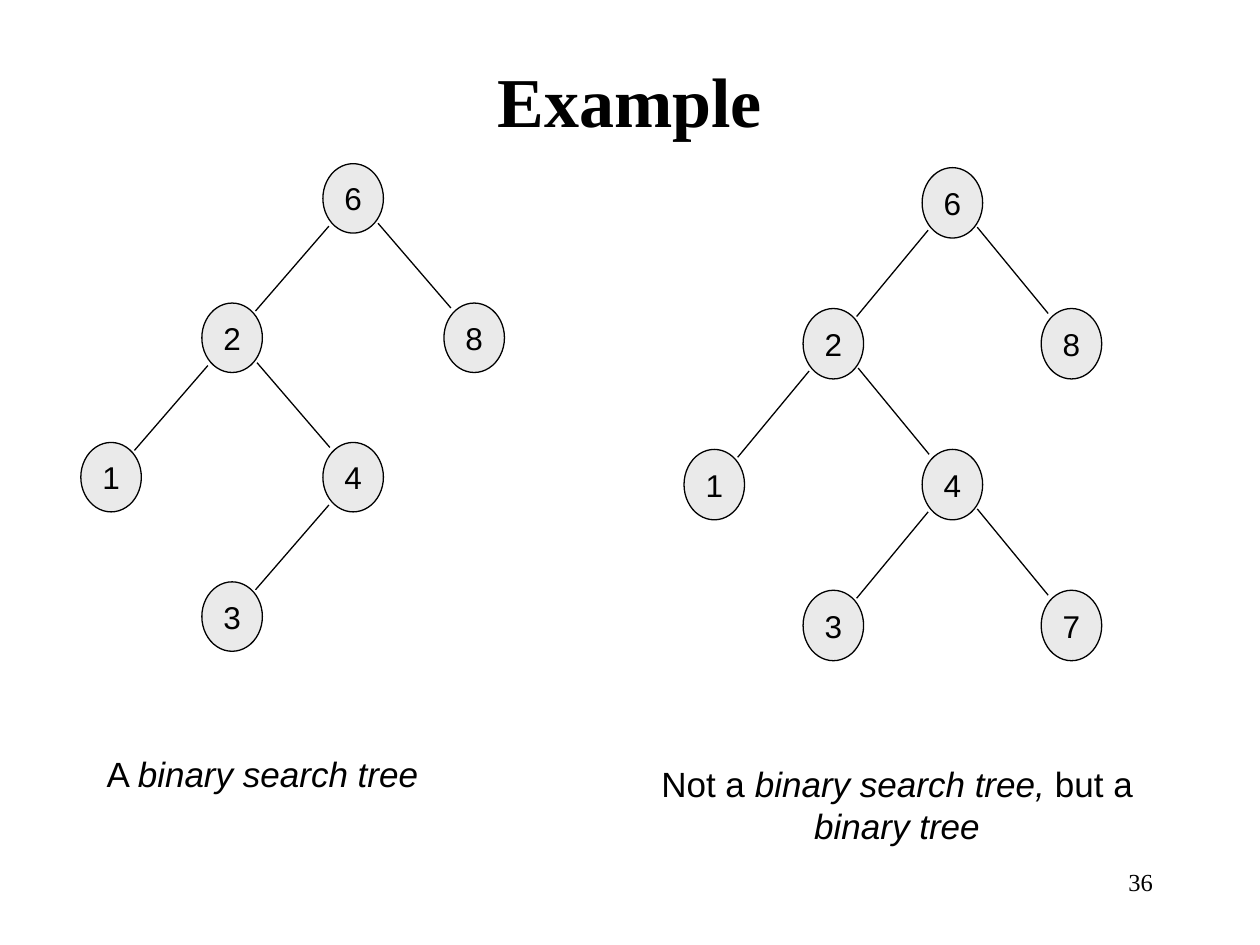
from lxml import etree
from pptx import Presentation
from pptx import util as u
from pptx.dml import color
from pptx.enum import shapes, text
from pptx.oxml import ns

BLACK, GREY = "000000", "EAEAEA"
SANS, SERIF = "Arial", "Times New Roman"
CENTER, LEFT, RIGHT = text.PP_ALIGN.CENTER, text.PP_ALIGN.LEFT, text.PP_ALIGN.RIGHT

SEARCH_TREE = {"6": (2, 0), "2": (1, 1), "8": (3, 1), "1": (0, 2), "4": (2, 2), "3": (1, 3)}
SEARCH_EDGES = ["62", "68", "21", "24", "43"]
TREES = [
    {"origin": (1.63, 3.3), "step": (2.44, 2.81), "size": (1.22, 1.4),
     "nodes": SEARCH_TREE, "edges": SEARCH_EDGES},
    {"origin": (13.79, 3.38), "step": (2.4, 2.84), "size": (1.22, 1.42),
     "nodes": {**SEARCH_TREE, "7": (3, 3)}, "edges": SEARCH_EDGES + ["47"]},
]
LEFT_EDGE = ((0.12, 1.26), (1.08, 0.16))
RIGHT_EDGE = ((1.11, 1.2), (0.14, 0.1))

LABELS = [
    {"at": (18.21, 17.35, 5.28, 1.27), "spans": [("36", False)],
     "font": (SERIF, 14, False), "align": RIGHT, "wrap": True, "anchor": text.MSO_ANCHOR.TOP},
    {"at": (1.9, 1.27, 21.59, 1.47), "spans": [("Example", False)],
     "font": (SERIF, 40, True), "align": CENTER, "wrap": True, "anchor": text.MSO_ANCHOR.MIDDLE},
    {"at": (1.9, 15.04, 6.83, 1.12), "spans": [("A ", False), ("binary search tree", True)],
     "font": (SANS, 20, False), "align": LEFT, "wrap": False, "anchor": text.MSO_ANCHOR.TOP},
    {"at": (12.27, 15.24, 11.63, 1.96),
     "spans": [("Not a ", False), ("binary search tree, ", True),
               ("but a ", False), ("binary tree", True)],
     "font": (SANS, 20, False), "align": CENTER, "wrap": True, "anchor": text.MSO_ANCHOR.TOP},
]


def rgb(value):
    return color.RGBColor.from_string(value)


def style_font(font, name, size, bold=False, italic=False):
    font.name, font.size, font.bold, font.italic = name, u.Pt(size), bold, italic
    font.color.rgb = rgb(BLACK)


def style_line(line):
    line.color.rgb = rgb(BLACK)
    line.width = u.Pt(0.75)


def add_label(page, label):
    box = page.shapes.add_textbox(*map(u.Cm, label["at"]))
    frame = box.text_frame
    frame.word_wrap = label["wrap"]
    frame.vertical_anchor = label["anchor"]
    para = frame.paragraphs[0]
    para.alignment = label["align"]
    for words, italic in label["spans"]:
        span = para.add_run()
        span.text = words
        style_font(span.font, *label["font"], italic)


def add_node(group, value, corner, size):
    node = group.shapes.add_shape(shapes.MSO_SHAPE.OVAL, *map(u.Cm, corner + size))
    node.shadow.inherit = False
    node.fill.solid()
    node.fill.fore_color.rgb = rgb(GREY)
    style_line(node.line)
    frame = node.text_frame
    frame.text = value
    frame.word_wrap = False
    frame.vertical_anchor = text.MSO_ANCHOR.MIDDLE
    para = frame.paragraphs[0]
    para.alignment = CENTER
    style_font(para.runs[0].font, SANS, 18)


def add_edge(group, parent, child):
    start, end = LEFT_EDGE if child[0] < parent[0] else RIGHT_EDGE
    ends = (parent[0] + start[0], parent[1] + start[1], child[0] + end[0], child[1] + end[1])
    edge = group.shapes.add_connector(shapes.MSO_CONNECTOR.STRAIGHT, *map(u.Cm, ends))
    style_line(edge.line)
    etree.SubElement(edge.element.spPr, ns.qn("a:effectLst"))


def add_tree(page, tree):
    group = page.shapes.add_group_shape()
    (left, top), (across, down) = tree["origin"], tree["step"]
    corners = {value: (left + column * across, top + row * down)
               for value, (column, row) in tree["nodes"].items()}
    for value, corner in corners.items():
        add_node(group, value, corner, tree["size"])
    for parent, child in tree["edges"]:
        add_edge(group, corners[parent], corners[child])


def main():
    deck = Presentation()
    deck.slide_width, deck.slide_height = u.Cm(25.4), u.Cm(19.05)
    page = deck.slides.add_slide(deck.slide_layouts[6])
    for tree in TREES:
        add_tree(page, tree)
    for label in LABELS:
        add_label(page, label)
    deck.save("out.pptx")


if __name__ == "__main__":
    main()
